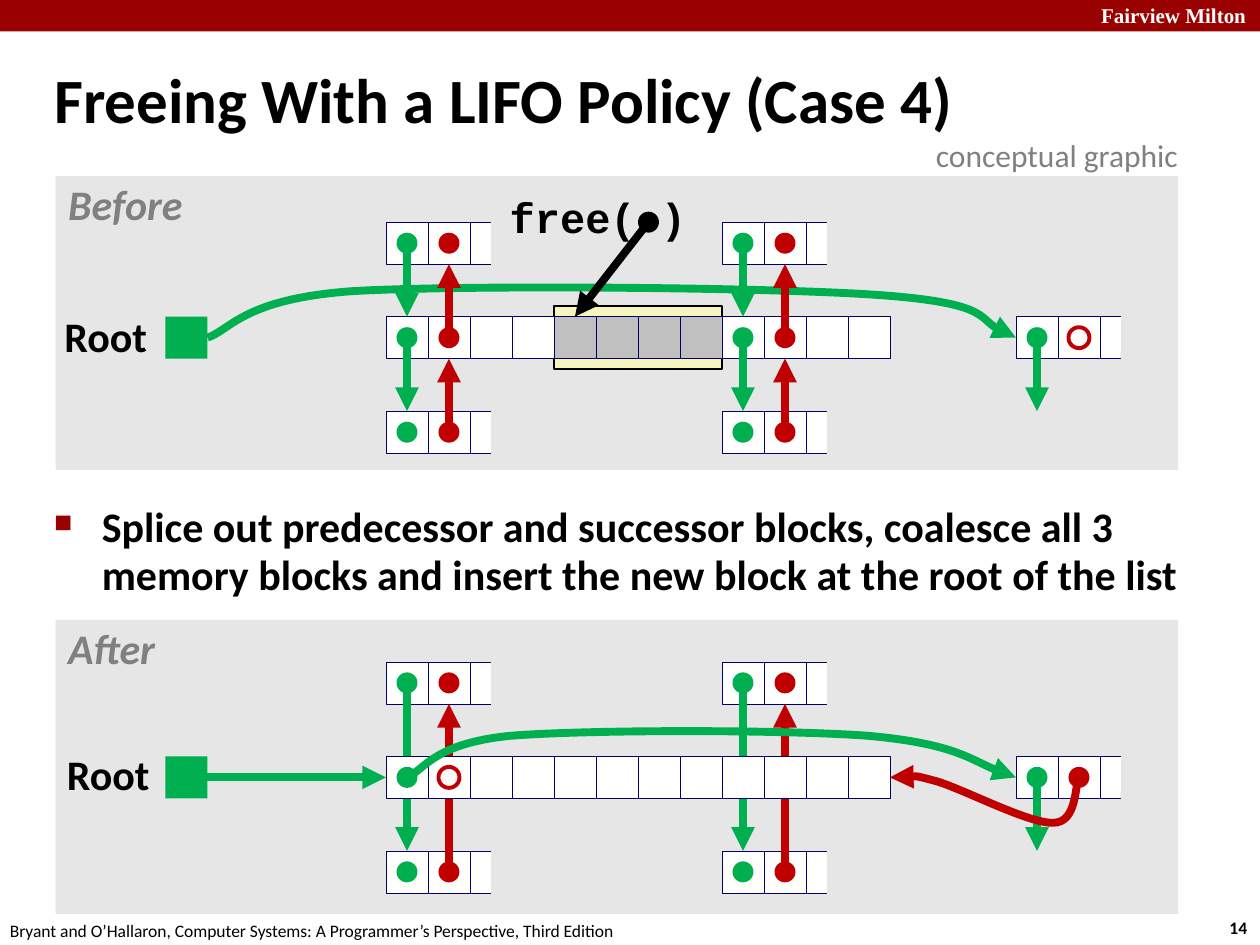
import pptx
import pptx.util
import pptx.dml.color
import pptx.enum.shapes
import pptx.enum.text
import pptx.oxml
import pptx.oxml.ns
from lxml import etree

Inches, Pt = pptx.util.Inches, pptx.util.Pt
RGBColor = pptx.dml.color.RGBColor
qn = pptx.oxml.ns.qn
RECT = pptx.enum.shapes.MSO_SHAPE.RECTANGLE
OVAL = pptx.enum.shapes.MSO_SHAPE.OVAL
LEFT, CENTER = pptx.enum.text.PP_ALIGN.LEFT, pptx.enum.text.PP_ALIGN.CENTER
MIDDLE = pptx.enum.text.MSO_ANCHOR.MIDDLE

BLACK = RGBColor(0x00, 0x00, 0x00)
WHITE = RGBColor(0xFF, 0xFF, 0xFF)
MAROON = RGBColor(0x99, 0x00, 0x00)
RED = RGBColor(0xC0, 0x00, 0x00)
GREEN = RGBColor(0x00, 0xB0, 0x50)
NAVY = RGBColor(0x00, 0x00, 0x66)
PANEL = RGBColor(0xE6, 0xE6, 0xE6)
YELLOW = RGBColor(0xF6, 0xF5, 0xBD)
SILVER = RGBColor(0xC0, 0xC0, 0xC0)
GRAY = RGBColor(0x80, 0x80, 0x80)

# Grid: one memory cell is U wide; column 0 is centred on X0.
# Row 0 is centred on the main heap row of each panel.
U, X0 = 1 / 3, 3.23
BEFORE, AFTER = 2.68, 6.17
STEP = 2.25  # rows between neighbouring blocks
TOP, SIDE, BOTTOM = 0, 1, 2  # connection sites

prs = pptx.Presentation()
prs.slide_width, prs.slide_height = Inches(10), Inches(7.5)
s = prs.slides.add_slide(prs.slide_layouts[5])


def box(kind, mid, col, row, w, h, fill, line=None, pt=0.25):
    """Add a shape centred on a grid point, sized in cells."""
    sp = s.shapes.add_shape(kind, Inches(X0 + (col - w / 2) * U), Inches(mid + (row - h / 2) * U),
                            Inches(w * U), Inches(h * U))
    sp.shadow.inherit = False
    if fill is None:
        sp.fill.background()
    else:
        sp.fill.solid()
        sp.fill.fore_color.rgb = fill
    if line is None:
        sp.line.fill.background()
    else:
        sp.line.color.rgb = line
        sp.line.width = Pt(pt)
    return sp


def link(mid, points, color, cell=None, site=None):
    """Add an arrow: straight through two grid points, else a chain of cubic curves."""
    pts = [(Inches(X0 + c * U), Inches(mid + r * U)) for c, r in points]
    if len(pts) == 2:
        sp = s.shapes.add_connector(pptx.enum.shapes.MSO_CONNECTOR.STRAIGHT, *pts[0], *pts[1])
        if cell is not None:
            sp.end_connect(cell, site)
        etree.SubElement(sp._element.spPr, qn("a:effectLst"))
    else:
        fb = s.shapes.build_freeform(*pts[0])
        fb.add_line_segments(pts[1:], close=False)
        sp = fb.convert_to_shape()
        sp.shadow.inherit = False
        sp.fill.background()
        segments = list(sp._element.iter(qn("a:lnTo")))
        for i in range(0, len(segments), 3):
            curve = etree.Element(qn("a:cubicBezTo"))
            segments[i].addprevious(curve)
            for seg in segments[i:i + 3]:
                curve.append(seg[0])
                seg.getparent().remove(seg)
    sp.line.color.rgb = color
    sp.line.width = Pt(4.5)
    etree.SubElement(sp.line._get_or_add_ln(), qn("a:tailEnd"), type="triangle")


box(RECT, 0.125, (5 - X0) / U, 0, 10 / U, 0.75, MAROON)

# Panels, roots and the neighbouring blocks, cut off on the right
cells = {}
for mid, panel_row in ((BEFORE, -0.35), (AFTER, -0.25)):
    box(RECT, mid, 5, panel_row, 26.73, 7, PANEL)
    box(RECT, mid, -5.25, 0, 1, 1, GREEN)
    for col, row in ((0, -STEP), (0, STEP), (8, -STEP), (8, STEP), (15, 0)):
        for c in range(col, col + 3):
            cells[mid, c, row] = box(RECT, mid, c, row, 1, 1, WHITE, NAVY)
        box(RECT, mid, col + 2.5, row, 1, 1.5, PANEL)

# Before: the block being freed sits between two free blocks
box(RECT, BEFORE, 5.5, 0, 4, 1.5, YELLOW, BLACK, 0.75)
for c in range(12):
    fill = SILVER if 4 <= c < 8 else WHITE
    cells[BEFORE, c, 0] = box(RECT, BEFORE, c, 0, 1, 1, fill, NAVY)
link(BEFORE, [(-4.75, 0), (-4.2, -0.18), (-3.9, -0.93), (-1.26, -1.11),
              (1.41, -1.26), (8.52, -1.2), (11.16, -1.02),
              (13.77, -0.84), (13.77, -0.21), (14.5, 0)], GREEN)

# Vertical links: next pointers go down, previous pointers go up
for c in (0, 8):
    for mid, stops in ((BEFORE, (-STEP, 0, STEP)), (AFTER, (-STEP, STEP))):
        for upper, lower in zip(stops, stops[1:]):
            link(mid, [(c, upper), (c, lower - 0.5)], GREEN, cells[mid, c, lower], TOP)
            link(mid, [(c + 1, lower), (c + 1, upper + 0.5)], RED, cells[mid, c + 1, upper], BOTTOM)

# After: one coalesced block
for c in range(12):
    cells[AFTER, c, 0] = box(RECT, AFTER, c, 0, 1, 1, WHITE, NAVY)
link(AFTER, [(-5, 0), (-0.5, 0)], GREEN, cells[AFTER, 0, 0], SIDE)

# Pointer dots; a ring is a null pointer
for mid in (BEFORE, AFTER):
    link(mid, [(15, 0), (15, 1.75)], GREEN)
    dots = [(c, r) for c in (0, 8) for r in (-STEP, STEP)] + [(0, 0), (15, 0)]
    if mid == BEFORE:
        dots.append((8, 0))
    ring = (16, 0) if mid == BEFORE else (1, 0)
    for c, r in dots:
        box(OVAL, mid, c, r, 0.5, 0.5, GREEN)
        if (c + 1, r) == ring:
            box(OVAL, mid, c + 1, r, 0.5, 0.5, None, RED, 2.25)
        else:
            box(OVAL, mid, c + 1, r, 0.5, 0.5, RED)

link(AFTER, [(0, 0), (0.42, -0.18), (0.63, -0.81), (2.46, -0.99),
             (4.29, -1.14), (8.97, -1.14), (10.98, -0.99),
             (12.99, -0.81), (13.77, -0.21), (14.5, 0)], GREEN)
link(AFTER, [(16, 0), (15.9, 0.18), (15.96, 1.08), (15.39, 1.08),
             (14.82, 1.11), (13.23, 0.27), (12.6, 0.09),
             (11.94, -0.09), (11.73, 0), (11.5, 0)], RED)
box(OVAL, BEFORE, 5.75, -2.75, 0.5, 0.5, BLACK)
link(BEFORE, [(5.75, -2.75), (4, -0.5)], BLACK, cells[BEFORE, 4, 0], TOP)

# Title
title = s.shapes.title
title.left, title.top, title.width, title.height = Inches(0.33), Inches(0.39), Inches(9.53), Inches(0.86)
tf = title.text_frame
tf.auto_size = pptx.enum.text.MSO_AUTO_SIZE.NONE
tf.vertical_anchor = MIDDLE
p = tf.paragraphs[0]
p.alignment, p.line_spacing = LEFT, 0.87
r = p.add_run()
r.text = "Freeing With a LIFO Policy (Case 4)"
r.font.name, r.font.size, r.font.bold = "Calibri", Pt(36), True
r.font.color.rgb = BLACK

# Text: left, top, width, height, words, font, size, colour, bold, italic, kind
texts = [
    (8.64, -0.03, 1.43, 0.3, "Fairview Milton", "Times New Roman", 12, WHITE, True, False, "plain"),
    (9.66, 7.23, 0.37, 0.27, "14", "Calibri", 10, BLACK, True, False, "plain"),
    (-0.02, 7.25, 5.08, 0.27,
     "Bryant and O’Hallaron, Computer Systems: A Programmer’s Perspective, Third Edition",
     "Calibri", 10, BLACK, False, False, "plain"),
    (7.33, 1.03, 2.17, 0.4, "conceptual graphic", "Calibri", 18, GRAY, False, False, "plain"),
    (3.99, 1.52, 1.51, 0.47, "free( )", "Courier New", 24, BLACK, True, False, "label"),
    (0.46, 2.46, 0.76, 0.47, "Root", "Calibri", 24, BLACK, True, False, "label"),
    (0.48, 5.94, 0.76, 0.47, "Root", "Calibri", 24, BLACK, True, False, "label"),
    (0.48, 1.41, 1.03, 0.47, "Before", "Calibri", 24, GRAY, True, True, "label"),
    (0.48, 4.94, 0.81, 0.47, "After", "Calibri", 24, GRAY, True, True, "label"),
    (0.33, 3.95, 9.27, 1.24,
     "Splice out predecessor and successor blocks, coalesce all 3 memory blocks "
     "and insert the new block at the root of the list",
     "Calibri", 24, BLACK, True, False, "bullet"),
]
for left, top, width, height, words, font, size, color, bold, italic, kind in texts:
    tf = s.shapes.add_textbox(Inches(left), Inches(top), Inches(width), Inches(height)).text_frame
    tf.word_wrap = kind == "bullet"
    p = tf.paragraphs[0]
    if kind == "label":
        tf.margin_left = tf.margin_right = tf.margin_top = tf.margin_bottom = Inches(0.05)
        p.alignment, p.line_spacing = CENTER, 0.9
    elif kind == "bullet":
        p.line_spacing, p.space_before = 0.95, Pt(4.8)
        pPr = p._p.get_or_add_pPr()
        pPr.set("marL", str(Inches(0.38)))
        pPr.set("indent", str(-Inches(0.38)))
        etree.SubElement(etree.SubElement(pPr, qn("a:buClr")), qn("a:srgbClr"), val=str(MAROON))
        etree.SubElement(pPr, qn("a:buSzPct"), val="60000")
        etree.SubElement(pPr, qn("a:buChar"), char="■")
    r = p.add_run()
    r.text = words
    r.font.name, r.font.size, r.font.bold, r.font.italic = font, Pt(size), bold, italic
    r.font.color.rgb = color

prs.save("out.pptx")
